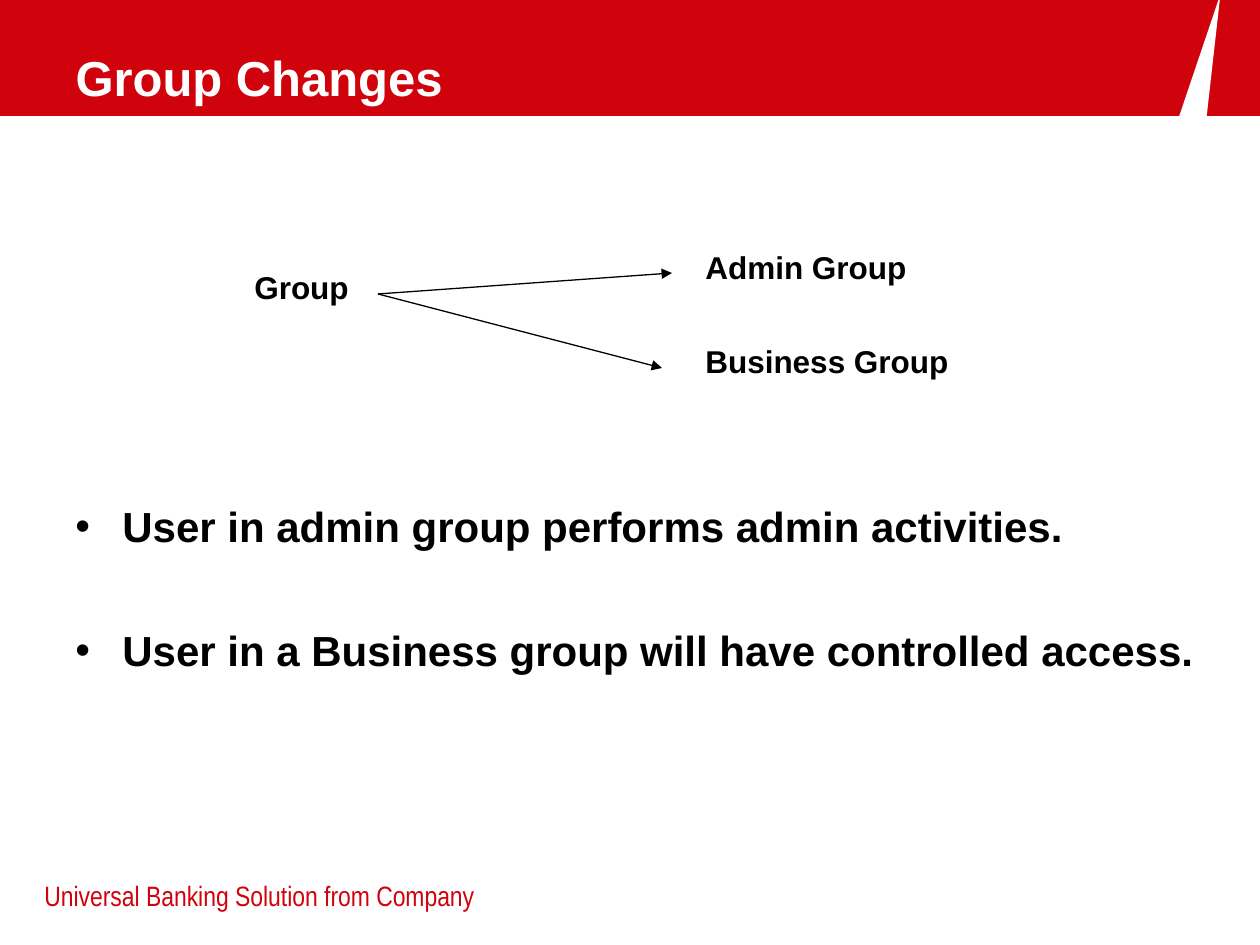
from lxml.etree import SubElement
from pptx import Presentation
from pptx.dml.color import RGBColor
from pptx.enum.shapes import MSO_CONNECTOR, MSO_SHAPE
from pptx.enum.text import MSO_ANCHOR, MSO_AUTO_SIZE, PP_ALIGN
from pptx.oxml.ns import qn
from pptx.util import Pt

EMU_PER_PX = 914400 / 126
COLORS = {"red": "D0020C", "white": "FFFFFF", "black": "000000"}
TITLE = {"size": Pt(28), "bold": True, "name": "Arial"}
LABEL = {"size": Pt(18), "bold": True, "name": "Arial"}
BULLET = {"size": Pt(24), "bold": True, "name": "Arial"}
FOOTER = {"size": Pt(16), "bold": False, "name": "Arial Narrow"}


def px(length):
    return round(length * EMU_PER_PX)


def color(key):
    return RGBColor.from_string(COLORS[key])


def place(box):
    return [px(length) for length in box]


def style(paragraph, font_format, color_key):
    for attribute, value in font_format.items():
        setattr(paragraph.font, attribute, value)
    paragraph.font.color.rgb = color(color_key)


def add_text(slide, box, words, font_format, color_key="black"):
    frame = slide.shapes.add_textbox(*place(box)).text_frame
    frame.word_wrap = True
    frame.text = words
    style(frame.paragraphs[0], font_format, color_key)
    return frame


def add_solid(slide, preset, box, color_key):
    solid = slide.shapes.add_shape(preset, *place(box))
    solid.shadow.inherit = False
    solid.fill.solid()
    solid.fill.fore_color.rgb = color(color_key)
    solid.line.fill.background()
    return solid


def add_header(slide, box, words):
    left, top, width, height = box
    add_solid(slide, MSO_SHAPE.RECTANGLE, box, "red")
    spike = add_solid(slide, MSO_SHAPE.ISOSCELES_TRIANGLE,
                      (left + width - 66, top - 5, 34, 157), "white")
    spike.adjustments[0] = 0.03
    spike.rotation = 18.3

    title = slide.shapes.title
    title.left, title.top, title.width, title.height = place(
        (left + 63, top + 38, width - 126, height - 38))
    frame = title.text_frame
    frame.text = words
    frame.auto_size = MSO_AUTO_SIZE.NONE
    frame.vertical_anchor = MSO_ANCHOR.MIDDLE
    frame.paragraphs[0].alignment = PP_ALIGN.LEFT
    style(frame.paragraphs[0], TITLE, "white")
    slide.shapes._spTree.append(title._element)  # in front of the band


def add_arrow(slide, start, end):
    arrow = slide.shapes.add_connector(
        MSO_CONNECTOR.STRAIGHT, *place(start), *place(end))
    arrow.line.color.rgb = color("black")
    arrow.line.width = Pt(0.75)
    SubElement(arrow.line._get_or_add_ln(), qn("a:tailEnd"), type="triangle")
    SubElement(arrow._element.spPr, qn("a:effectLst"))


def add_group_split(slide, box):
    """Draw the group label with an arrow to each kind of group."""
    left, top, width, height = box
    add_text(slide, (left, top + 20, 189, 50), "Group", LABEL)
    kinds = [("Admin Group", 0, 430, 31), ("Business Group", 94, 420, 126)]
    for kind, label_top, tip_x, tip_y in kinds:
        add_text(slide, (left + 451, top + label_top, width - 451, 50), kind, LABEL)
        add_arrow(slide, (left + 136, top + 52), (left + tip_x, top + tip_y))


def add_bullets(slide, box, points):
    frame = add_text(slide, box, "\n".join(points), BULLET)
    frame.margin_top = px(70)
    for index, paragraph in enumerate(frame.paragraphs):
        style(paragraph, BULLET, "black")
        paragraph.space_before = Pt(42 if index else 0)
        properties = paragraph._p.get_or_add_pPr()
        properties.set("marL", str(px(47)))
        properties.set("indent", str(px(-47)))
        SubElement(properties, qn("a:buFont"), typeface="Arial")
        SubElement(properties, qn("a:buChar"), char="•")
        # The run defaults must follow the bullet in the schema order.
        properties.append(properties.find(qn("a:defRPr")))


def main():
    deck = Presentation()
    deck.slide_width, deck.slide_height = px(1260), px(945)
    slide = deck.slides.add_slide(deck.slide_layouts[5])
    add_header(slide, (0, 0, 1260, 116), "Group Changes")
    add_text(slide, (32, 872, 651, 47), "Universal Banking Solution from Company",
             FOOTER, "red")
    add_bullets(slide, (63, 431, 1166, 413), [
        "User in admin group performs admin activities.",
        "User in a Business group will have controlled access.",
    ])
    add_group_split(slide, (242, 242, 776, 144))
    deck.save("out.pptx")


if __name__ == "__main__":
    main()
